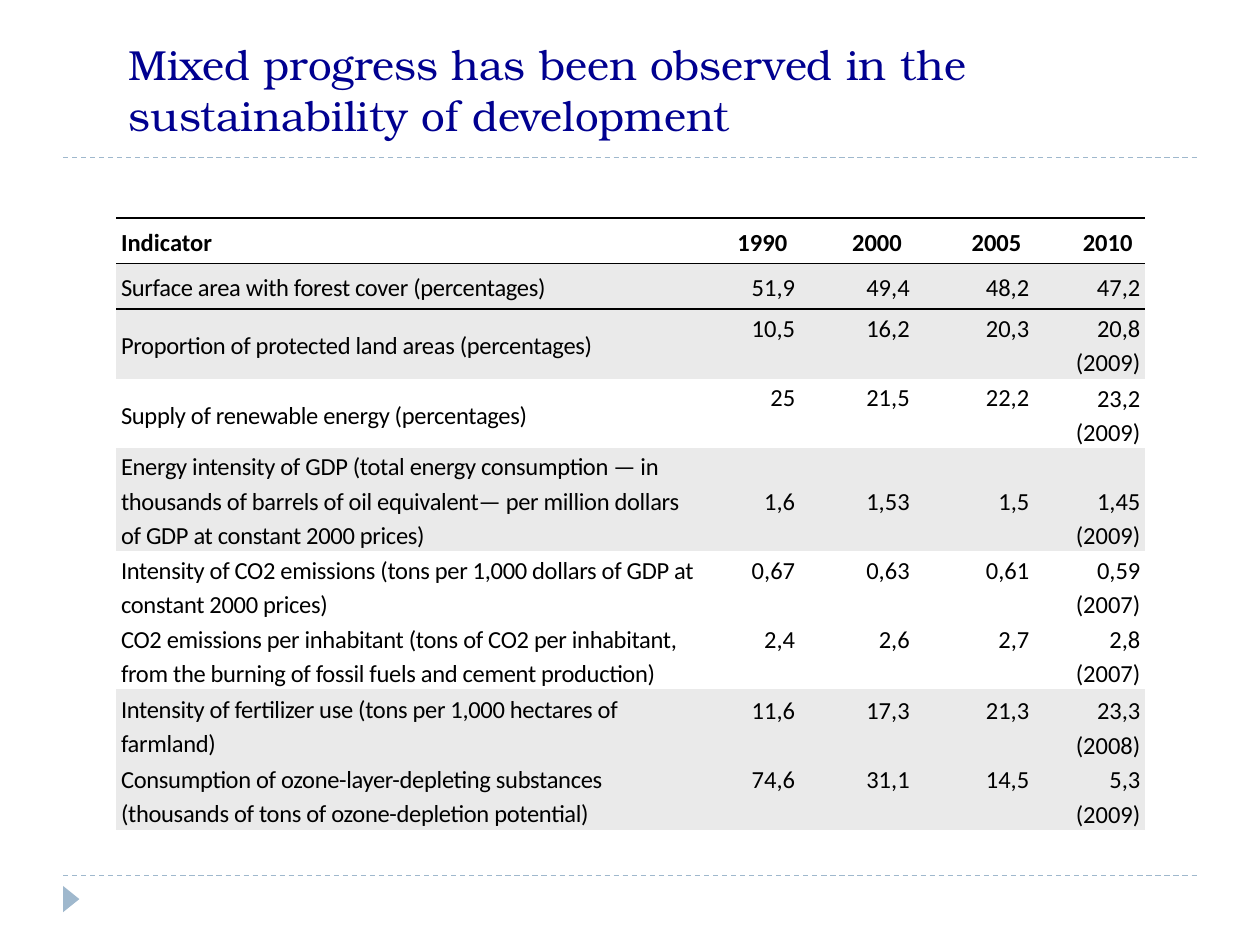
from lxml import etree
from pptx import Presentation
from pptx import util as u
from pptx.dml.color import RGBColor
from pptx.enum import dml, shapes, text
from pptx.oxml import ns

COLORS = {"title": "000090", "text": "000000", "band": "EAEAEA", "accent": "9FB8CD"}
NO_STYLE = "{2D5ABB26-0587-4C30-8999-92F81FD0307C}"
LINE_HEIGHT = u.Cm(0.7)

COLUMN_WIDTHS = [11.86, 1.93, 2.31, 2.41, 2.24]
MIDDLE, BOTTOM = text.MSO_ANCHOR.MIDDLE, text.MSO_ANCHOR.BOTTOM

# height in cm, shaded, anchor of the values, cell texts
ROWS = [
    (0.92, False, MIDDLE, ["Indicator", "1990", "2000", "2005", "2010"]),
    (0.92, True, MIDDLE, ["Surface area with forest cover (percentages)",
                          "51,9", "49,4", "48,2", "47,2"]),
    (1.41, True, MIDDLE, ["Proportion of protected land areas (percentages)",
                          "10,5", "16,2", "20,3", "20,8 (2009)"]),
    (1.38, False, MIDDLE, ["Supply of renewable energy (percentages)",
                           "25", "21,5", "22,2", "23,2 (2009)"]),
    (2.08, True, BOTTOM, ["Energy intensity of GDP (total energy consumption — in thousands of "
                          "barrels of oil equivalent— per million dollars of GDP at constant "
                          "2000 prices)", "1,6", "1,53", "1,5", "1,45 (2009)"]),
    (1.38, False, BOTTOM, ["Intensity of CO2 emissions (tons per 1,000 dollars of GDP at "
                           "constant 2000 prices)", "0,67", "0,63", "0,61", "0,59 (2007)"]),
    (1.38, False, BOTTOM, ["CO2 emissions per inhabitant (tons of CO2 per inhabitant, from the "
                           "burning of fossil fuels and cement production)",
                           "2,4", "2,6", "2,7", "2,8\n(2007)"]),
    (1.44, True, BOTTOM, ["Intensity of fertilizer use (tons per 1,000 hectares of farmland)",
                          "11,6", "17,3", "21,3", "23,3 (2008)"]),
    (1.38, True, BOTTOM, ["Consumption of ozone-layer-depleting substances (thousands of tons "
                          "of ozone-depletion potential)", "74,6", "31,1", "14,5", "5,3\n(2009)"]),
]


def color(name):
    return RGBColor.from_string(COLORS[name])


def add_border(cell, side):
    """Give one side of a cell ("lnT" or "lnB") a 1 pt line; call before filling."""
    line = etree.SubElement(cell._tc.get_or_add_tcPr(), ns.qn(f"a:{side}"), w="12700")
    fill = etree.SubElement(line, ns.qn("a:solidFill"))
    etree.SubElement(fill, ns.qn("a:srgbClr"), val=COLORS["text"])


presentation = Presentation()
presentation.slide_width, presentation.slide_height = u.Cm(25.4), u.Cm(19.05)
slide = presentation.slides.add_slide(presentation.slide_layouts[5])

# Dashed rules and corner marker
for y in (17.65, 3.18):
    rule = slide.shapes.add_connector(
        shapes.MSO_CONNECTOR.STRAIGHT, u.Cm(1.27), u.Cm(y), u.Cm(24.13), u.Cm(y))
    rule.line.color.rgb = color("accent")
    rule.line.width = u.Pt(0.75)
    rule.line.dash_style = dml.MSO_LINE.DASH
    etree.SubElement(rule._element.spPr, ns.qn("a:effectLst"))

marker = slide.shapes.add_shape(
    shapes.MSO_SHAPE.ISOSCELES_TRIANGLE, u.Cm(1.17), u.Cm(17.96), u.Cm(0.53), u.Cm(0.33))
marker.rotation = 90
marker.shadow.inherit = False
marker.fill.solid()
marker.fill.fore_color.rgb = color("accent")
marker.line.fill.background()

# Title
title = slide.shapes.title
title.left, title.top, title.width, title.height = u.Cm(2.34), u.Cm(0), u.Cm(21.16), u.Cm(3.6)
title.text_frame.text = "Mixed progress has been observed in the sustainability of development"
title.text_frame.vertical_anchor = MIDDLE
paragraph = title.text_frame.paragraphs[0]
paragraph.alignment = text.PP_ALIGN.LEFT
title_font = paragraph.runs[0].font
title_font.name, title_font.size = "TeX Gyre Bonum", u.Pt(24)
title_font.color.rgb = color("title")

# Indicator table
table = slide.shapes.add_table(
    len(ROWS), len(COLUMN_WIDTHS), u.Cm(2.34), u.Cm(4.39),
    u.Cm(sum(COLUMN_WIDTHS)), u.Cm(sum(row[0] for row in ROWS))).table
table.horz_banding = False
table._tbl.tblPr.find(ns.qn("a:tableStyleId")).text = NO_STYLE
for column, width in zip(table.columns, COLUMN_WIDTHS):
    column.width = u.Cm(width)

for row_index, (height, shaded, value_anchor, texts) in enumerate(ROWS):
    table.rows[row_index].height = u.Cm(height)
    is_header = row_index == 0
    has_year_note = "(" in texts[-1]
    for column_index, cell_text in enumerate(texts):
        cell = table.cell(row_index, column_index)
        is_label = column_index == 0
        cell.text_frame.text = cell_text
        cell.vertical_anchor = MIDDLE if is_label else value_anchor
        cell.margin_left = u.Cm(0.1) if is_label or is_header else 0
        cell.margin_right = u.Cm(0.2 if is_label else 0.26 if is_header else 0.1)
        cell.margin_top = 0
        # Values keep level with the last column's value, above its year
        beside_note = has_year_note and 0 < column_index < len(texts) - 1
        cell.margin_bottom = LINE_HEIGHT if beside_note else 0

        if row_index <= 1:
            add_border(cell, "lnT")
        if is_header:
            add_border(cell, "lnB")
        if shaded:
            cell.fill.solid()
            cell.fill.fore_color.rgb = color("band")
        else:
            cell.fill.background()

        for paragraph in cell.text_frame.paragraphs:
            paragraph.line_spacing = 1.15
            paragraph.alignment = text.PP_ALIGN.LEFT if is_label else text.PP_ALIGN.RIGHT
            for run in paragraph.runs:
                run.font.name, run.font.size = "Calibri", u.Pt(14)
                run.font.bold = is_header
                run.font.color.rgb = color("text")
                if is_label and not is_header:
                    run._r.get_or_add_rPr().set("spc", "-20")

presentation.save("out.pptx")
